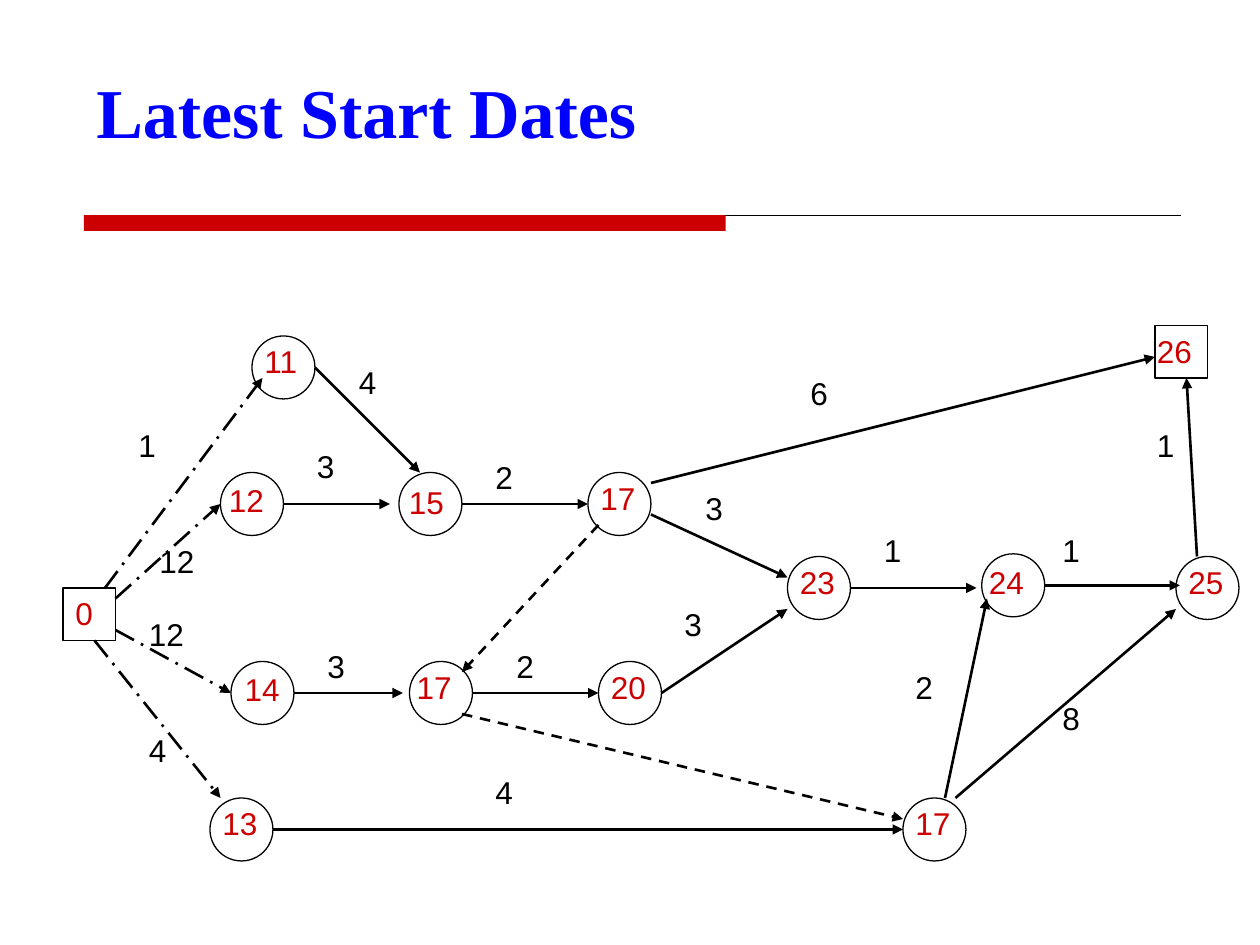
from lxml.etree import SubElement
from pptx import Presentation
from pptx.dml.color import RGBColor
from pptx.enum.dml import MSO_LINE
from pptx.enum.shapes import MSO_CONNECTOR, MSO_SHAPE
from pptx.enum.text import MSO_ANCHOR
from pptx.oxml.ns import qn
from pptx.util import Pt

SCALE = 9525
RED, BLUE, BLACK = "CC0000", "0000FF", "000000"
TITLE_FONT = {"name": "Times New Roman", "size": Pt(40), "bold": True}
LABEL_FONT = {"name": "Arial", "size": Pt(18)}
CIRCLE, SQUARE = (MSO_SHAPE.OVAL, 48), (MSO_SHAPE.RECTANGLE, 40)
SOLID, DASH, DASH_DOT = None, MSO_LINE.DASH, MSO_LINE.LONG_DASH_DOT

# date, kind, left, top, text dx, text dy, text width
NODES = [
    ("0", SQUARE, 0, 200, 0, 0, 48),
    ("11", CIRCLE, 144, 8, 0, 0, 56),
    ("12", CIRCLE, 120, 112, -3, 2, 64),
    ("14", CIRCLE, 128, 256, 1, 2, 64),
    ("13", CIRCLE, 112, 360, 0, 0, 88),
    ("15", CIRCLE, 256, 112, -2, 3, 72),
    ("17", CIRCLE, 400, 112, 0, 0, 88),
    ("17", CIRCLE, 264, 256, -4, 0, 88),
    ("17", CIRCLE, 640, 360, 0, 0, 88),
    ("20", CIRCLE, 408, 256, 0, 0, 88),
    ("23", CIRCLE, 552, 176, 0, 0, 88),
    ("24", CIRCLE, 700, 174, -4, 2, 64),
    ("25", CIRCLE, 848, 176, 0, 0, 64),
    ("26", SQUARE, 832, 0, -8, 0, 64),
]
ARROWS = [
    (32, 200, 152, 40, DASH_DOT),
    (40, 208, 120, 136, DASH_DOT),
    (40, 232, 128, 280, DASH_DOT),
    (24, 240, 120, 360, DASH_DOT),
    (192, 32, 272, 112, SOLID),
    (168, 136, 249, 136, SOLID),
    (304, 136, 400, 136, SOLID),
    (176, 280, 259, 280, SOLID),
    (312, 280, 408, 280, SOLID),
    (456, 280, 552, 216, SOLID),
    (160, 384, 640, 384, SOLID),
    (408, 152, 304, 264, DASH),
    (304, 296, 640, 376, DASH),
    (448, 120, 832, 24, SOLID),
    (448, 144, 552, 192, SOLID),
    (600, 200, 696, 200, SOLID),
    (748, 198, 851, 198, SOLID),
    (672, 360, 704, 208, SOLID),
    (680, 360, 848, 216, SOLID),
    (864, 176, 856, 40, SOLID),
]
DURATIONS = [
    ("1", 48, 72, 40), ("12", 64, 160, 88), ("12", 56, 216, 112),
    ("4", 56, 304, 32), ("4", 216, 24, 176), ("3", 184, 88, 48),
    ("2", 320, 96, 48), ("3", 192, 240, 48), ("2", 336, 240, 48),
    ("3", 464, 208, 48), ("4", 320, 336, 104), ("6", 560, 32, 112),
    ("3", 480, 120, 96), ("1", 616, 152, 56), ("1", 752, 152, 88),
    ("2", 640, 256, 40), ("8", 752, 280, 48), ("1", 824, 72, 64),
]


def px(*lengths):
    """Turn px lengths into EMU."""
    return [n * SCALE for n in lengths]


def color(value):
    """Return the colour for a hex string."""
    return RGBColor.from_string(value)


def add_text(s, text, box, font, fill, anchor=MSO_ANCHOR.TOP):
    """Place one line of text in a box."""
    tf = s.shapes.add_textbox(*px(*box)).text_frame
    tf.word_wrap = True
    tf.vertical_anchor = anchor
    r = tf.paragraphs[0].add_run()
    r.text = text
    for name, value in font.items():
        setattr(r.font, name, value)
    r.font.color.rgb = color(fill)


def add_line(s, ends, width, dash=SOLID, arrow=False):
    """Draw a straight black line, with an arrowhead at its end if asked."""
    sp = s.shapes.add_connector(MSO_CONNECTOR.STRAIGHT, *px(*ends))
    sp.line.color.rgb = color(BLACK)
    sp.line.width = Pt(width)
    if dash is not None:
        sp.line.dash_style = dash
    if arrow:
        SubElement(sp.line._get_or_add_ln(), qn("a:tailEnd"), type="triangle")
    SubElement(sp._element.spPr, qn("a:effectLst"))


def add_node(s, kind, x, y):
    """Outline one event of the network."""
    shape, size = kind
    sp = s.shapes.add_shape(shape, *px(x, y, size, size))
    sp.shadow.inherit = False
    sp.fill.background()
    sp.line.color.rgb = color(BLACK)
    sp.line.width = Pt(0.75)


def add_header(s, x, y, w, h):
    """Place the title with the two-part rule below it."""
    add_text(s, "Latest Start Dates", (x, y, w, h), TITLE_FONT, BLUE,
             MSO_ANCHOR.MIDDLE)
    rule = y + h + 20
    add_line(s, (x, rule, x + w + 20, rule), 0.75)
    bar = s.shapes.add_shape(MSO_SHAPE.RECTANGLE, *px(x, rule, 489, 12))
    bar.shadow.inherit = False
    bar.fill.solid()
    bar.fill.fore_color.rgb = color(RED)
    bar.line.fill.background()


def add_network(s, x, y):
    """Draw the activity network from its top left corner."""
    for x1, y1, x2, y2, dash in ARROWS:
        add_line(s, (x + x1, y + y1, x + x2, y + y2), 1.5, dash, True)
    for date, kind, left, top, dx, dy, w in NODES:
        add_node(s, kind, x + left, y + top)
        add_text(s, date, (x + left + dx, y + top + dy, w, 48), LABEL_FONT, RED)
    for days, left, top, w in DURATIONS:
        add_text(s, days, (x + left, y + top, w, 48), LABEL_FONT, BLACK)


def main():
    """Build the slide and save it."""
    prs = Presentation()
    prs.slide_width, prs.slide_height = px(960, 720)
    s = prs.slides.add_slide(prs.slide_layouts[6])
    add_header(s, 64, 24, 816, 120)
    add_network(s, 48, 248)
    prs.save("out.pptx")


if __name__ == "__main__":
    main()
